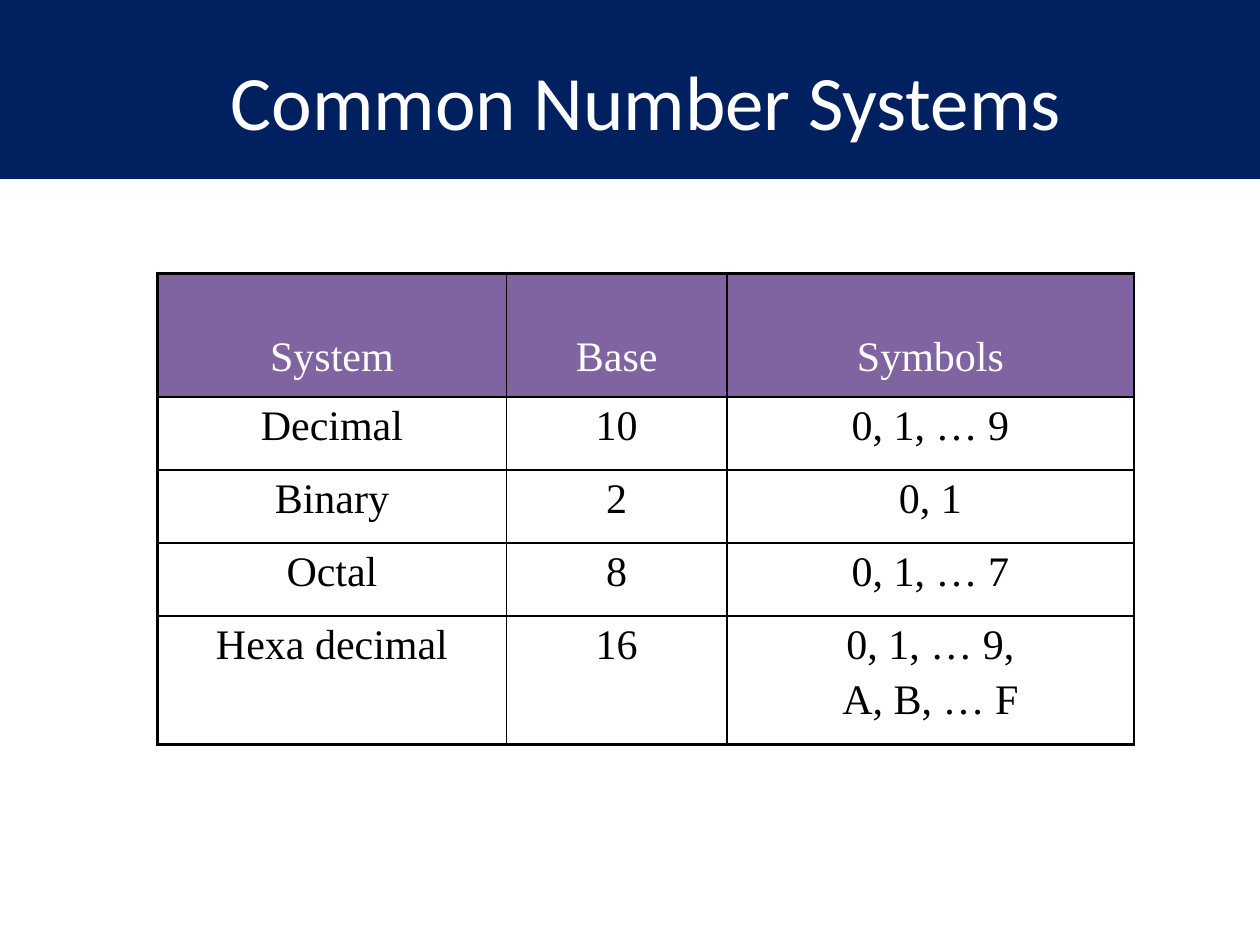
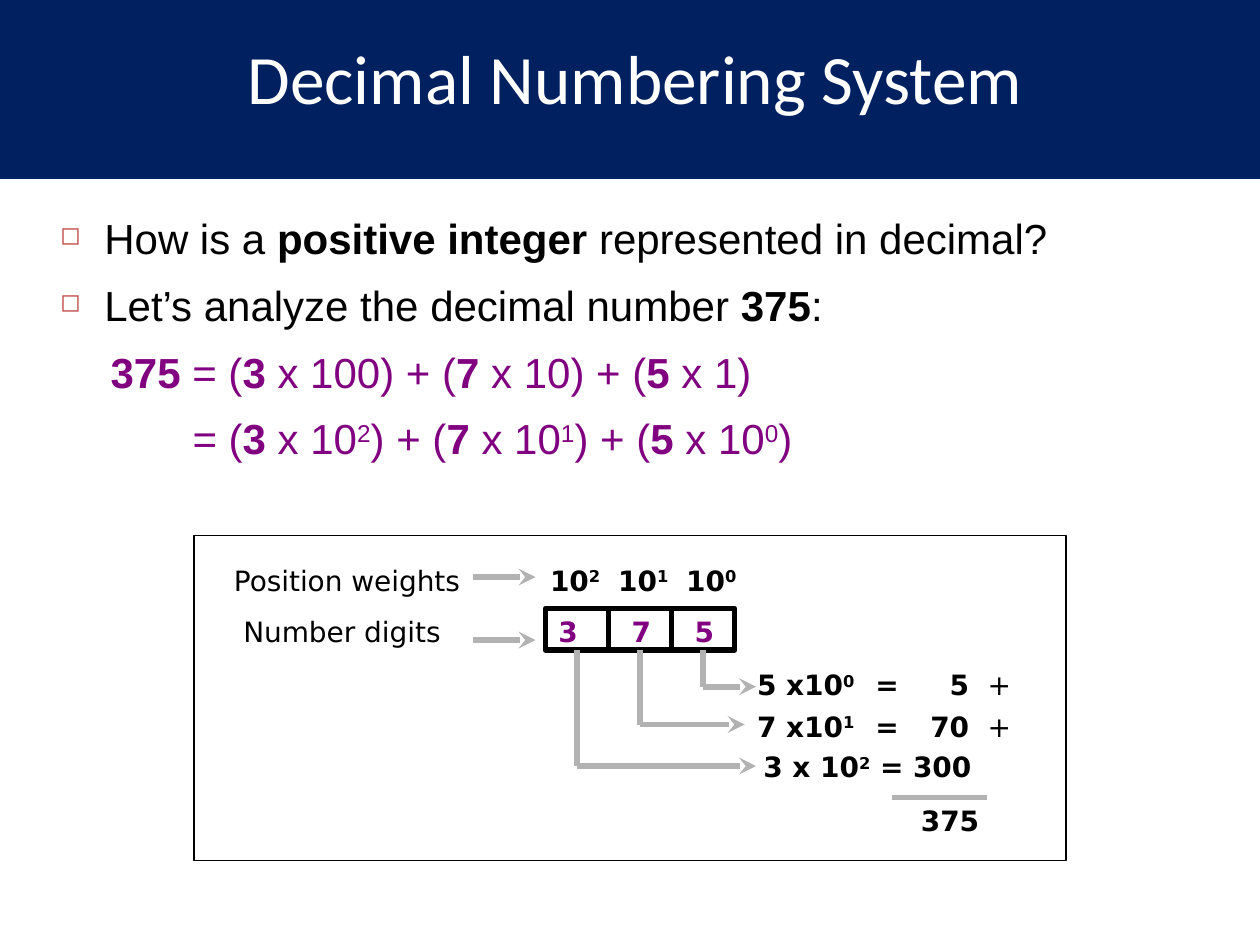
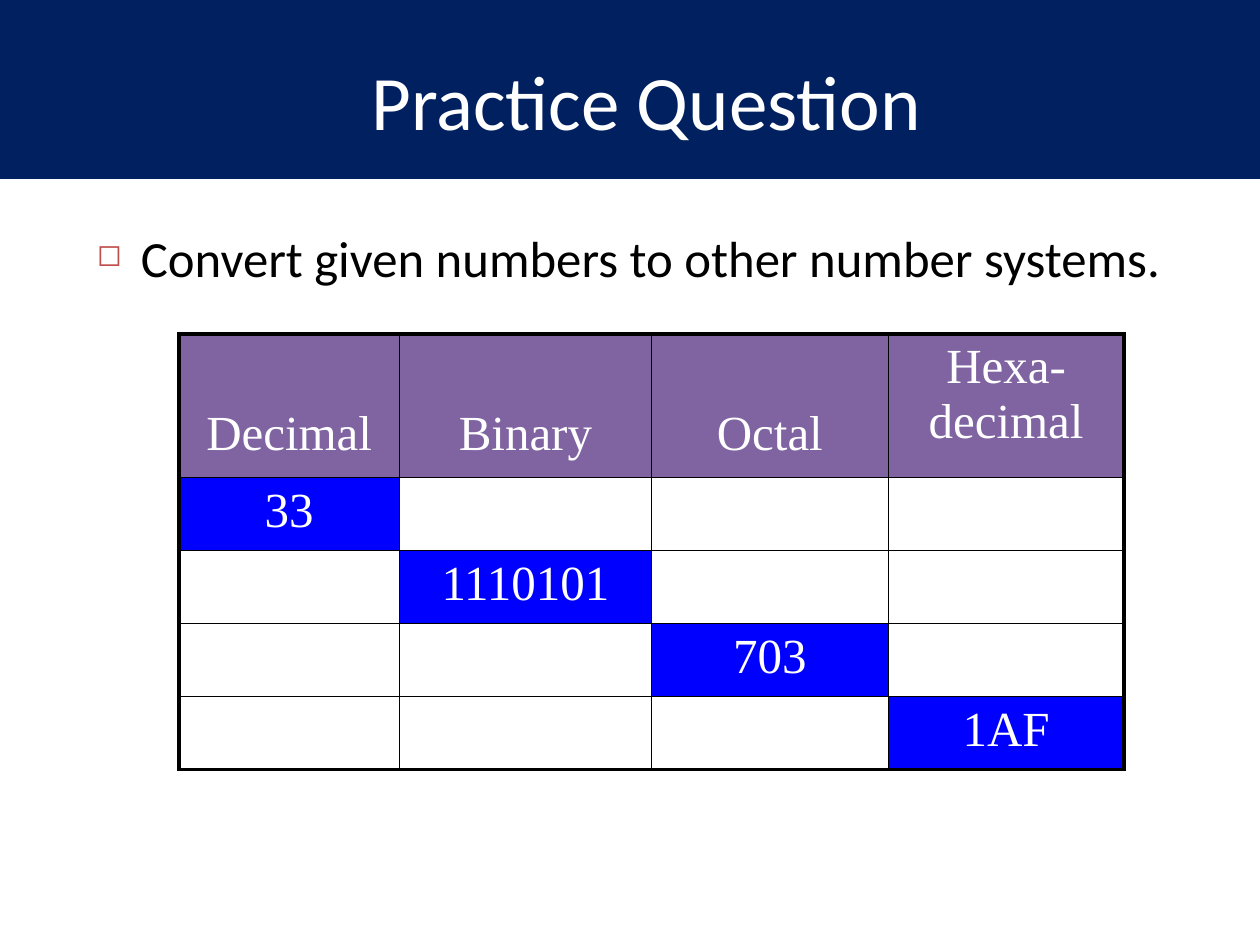
from lxml.etree import SubElement
from pptx import Presentation
from pptx.dml.color import RGBColor
from pptx.enum.shapes import MSO_CONNECTOR, MSO_SHAPE
from pptx.enum.text import MSO_ANCHOR, PP_ALIGN
from pptx.oxml import parse_xml
from pptx.oxml.ns import nsdecls, qn
from pptx.util import Inches, Pt

COLORS = {
    "band": "002060", "white": "FFFFFF", "black": "000000", "header": "8064A2",
    "given": "0000FF", "bullet": "C0504D", "digit": "800080", "arrow": "B2B2B2",
}
ALIGN = {"l": PP_ALIGN.LEFT, "c": PP_ALIGN.CENTER, "r": PP_ALIGN.RIGHT}
THIN, THICK = 1, 2.25
DIAGRAM_LINE = 3.25


def rgb(name):
    return RGBColor.from_string(COLORS[name])


def add_bullet(p):
    pPr = p._p.get_or_add_pPr()
    SubElement(SubElement(pPr, qn("a:buClr")), qn("a:srgbClr"), val=COLORS["bullet"])
    SubElement(pPr, qn("a:buSzPct"), val="60000")
    SubElement(pPr, qn("a:buChar"), char="◻")


def write(tf, text, size=16, font="DejaVu Sans", color="black", bold=False, align="l",
          space=0, bullet=False, left=0, first=0, append=False):
    """Write one paragraph per line; *x* is bold and ^x^ is superscript."""
    for n, line in enumerate(text.split("\n")):
        p = tf.add_paragraph() if append or n else tf.paragraphs[0]
        pPr = p._p.get_or_add_pPr()
        pPr.set("marL", str(Inches(left)))
        pPr.set("indent", str(Inches(first)))
        if bullet:
            add_bullet(p)
        p.alignment = ALIGN[align]
        p.space_before = Pt(space if append or n else 0)
        for i, chunk in enumerate(line.split("*")):
            for j, piece in enumerate(chunk.split("^")):
                if not piece:
                    continue
                r = p.add_run()
                r.text = piece
                r.font.size, r.font.name = Pt(size), font
                r.font.bold = bold or i % 2 == 1
                r.font.color.rgb = rgb(color)
                if j % 2:
                    r._r.get_or_add_rPr().set("baseline", "30000")


def add_text(s, box, text, wrap=True, anchor=MSO_ANCHOR.TOP, **fmt):
    tf = s.shapes.add_textbox(*map(Inches, box)).text_frame
    tf.word_wrap = wrap
    tf.vertical_anchor = anchor
    write(tf, text, **fmt)
    return tf


def add_rect(s, box, fill=None, line=None, width=DIAGRAM_LINE):
    sp = s.shapes.add_shape(MSO_SHAPE.RECTANGLE, *map(Inches, box))
    sp.shadow.inherit = False
    if fill:
        sp.fill.solid()
        sp.fill.fore_color.rgb = rgb(fill)
    else:
        sp.fill.background()
    if line:
        sp.line.color.rgb = rgb(line)
        sp.line.width = Pt(width)
    else:
        sp.line.fill.background()
    return sp


def add_line(s, x1, y1, x2, y2, arrow=False):
    line = s.shapes.add_connector(MSO_CONNECTOR.STRAIGHT, *map(Inches, (x1, y1, x2, y2)))
    line.line.color.rgb = rgb("arrow")
    line.line.width = Pt(DIAGRAM_LINE)
    if arrow:
        SubElement(line.line._get_or_add_ln(), qn("a:tailEnd"), type="stealth")
    SubElement(line._element.spPr, qn("a:effectLst"))
    return line


def set_borders(cell, widths):
    """Draw black borders; widths run left, right, top, bottom."""
    tcPr = cell._tc.get_or_add_tcPr()
    for i, (side, width) in enumerate(zip("LRTB", widths)):
        tcPr.insert(i, parse_xml(
            f'<a:ln{side} {nsdecls("a")} w="{Pt(width)}"><a:solidFill>'
            f'<a:srgbClr val="{COLORS["black"]}"/></a:solidFill></a:ln{side}>'))


def add_grid(s, left, top, widths, heights, rows, size, body_fill=None,
             body_color="black", right_edge=THICK, space=0):
    """Table with a purple header row; body_fill colours the cells that hold text."""
    frame = s.shapes.add_table(len(heights), len(widths), Inches(left), Inches(top),
                               Inches(sum(widths)), Inches(sum(heights)))
    table = frame.table
    table.first_row = table.horz_banding = False
    for column, width in zip(table.columns, widths):
        column.width = Inches(width)
    for row, height in zip(table.rows, heights):
        row.height = Inches(height)
    last_row, last_col = len(heights) - 1, len(widths) - 1
    for i, texts in enumerate(rows):
        for j, text in enumerate(texts):
            cell = table.cell(i, j)
            fill = "header" if i == 0 else body_fill if text else None
            if fill:
                cell.fill.solid()
                cell.fill.fore_color.rgb = rgb(fill)
            else:
                cell.fill.background()
            if i == 0 and "\n" not in text:
                cell.vertical_anchor = MSO_ANCHOR.BOTTOM
                cell.margin_bottom = Inches(0.13)
            set_borders(cell, (THICK if j == 0 else THIN,
                               right_edge if j == last_col else THIN,
                               THICK if i == 0 else THIN,
                               THICK if i == last_row else THIN))
            write(cell.text_frame, text, size=size, font="Times New Roman", align="c",
                  color="white" if i == 0 else body_color, space=space)


def new_slide(prs, title, box=(0.67, 0.25, 8.92, 1.08), size=44):
    s = prs.slides.add_slide(prs.slide_layouts[6])
    add_rect(s, (0, 0, 10, 1.42), fill="band")
    add_text(s, box, title, anchor=MSO_ANCHOR.MIDDLE, size=size, font="Calibri",
             color="white", align="c")
    return s


def positional_diagram(s, left, top, width, height):
    """Digits of 375 with their weights and the sum they make."""
    def label(x, y, w, text, **fmt):
        add_text(s, (left + x, top + y, w, 0.37), text, **fmt)

    def line(x1, y1, x2, y2, **fmt):
        return add_line(s, left + x1, top + y1, left + x2, top + y2, **fmt)

    centered = dict(wrap=False, align="c")
    cell_w, cell_h, cells_x, cells_y = 0.5, 0.33, 2.79, 0.58
    cells = [add_rect(s, (left + cells_x + i * cell_w, top + cells_y, cell_w, cell_h),
                      line="black") for i in range(3)]
    for i, (digit, x) in enumerate(zip("375", (2.79, 3.37, 3.87))):
        label(x, cells_y, 0.36, digit, bold=True, color="digit", **centered)
        label(2.71 + i * 0.54, 0.17, 0.63, f"10^{2 - i}^", bold=True, **centered)
    label(0.21, 0.17, 2.01, "Position weights", **centered)
    label(0.29, cells_y, 1.77, "Number digits", **centered)
    for y in (0.33, 0.83):
        line(2.21, y, 2.71, y, arrow=True)

    for i, (y, end) in enumerate([(1.83, 4.46), (1.5, 4.37), (1.2, 4.46)]):
        x = cells_x + (i + 0.5) * cell_w
        line(x, cells_y + cell_h, x, y).begin_connect(cells[i], 2)
        line(x, y, end, y, arrow=True)

    for y, term, value in [(1, "5 x10^0^", "5"), (1.33, "7 x10^1^", "70")]:
        label(4.37, y, 1.05, term, bold=True)
        label(5.3, y, 0.4, "=", bold=True, **centered)
        label(5.55, y, 0.7, value, bold=True, align="r")
        label(6.2, y, 0.38, "+", **centered)
    label(4.42, 1.65, 1.93, "3 x 10^2^ = 300", bold=True)
    line(5.54, 2.08, 6.29, 2.08)
    label(5.66, 2.08, 0.68, "375", bold=True, **centered)
    add_rect(s, (left, top, width, height), line="black", width=0.75)


def number_systems(prs):
    s = new_slide(prs, "Common Number Systems")
    add_grid(s, 1.25, 2.17, [2.77, 1.75, 3.23], [0.98, 0.58, 0.58, 0.58, 1.02], [
        ("System", "Base", "Symbols"),
        ("Decimal", "10", "0, 1, … 9"),
        ("Binary", "2", "0, 1"),
        ("Octal", "8", "0, 1, … 7"),
        ("Hexa decimal", "16", "0, 1, … 9,\nA, B, … F"),
    ], size=24, right_edge=THIN, space=5)


def decimal_system(prs):
    s = new_slide(prs, "Decimal Numbering System", (1.08, 0.3, 7.92, 0.62), 39.6)
    body = dict(size=24, font="Arial", space=9.3)
    tf = add_text(s, (0.38, 1.64, 8.67, 2.5),
                  "How is a *positive integer* represented in decimal?\n"
                  "Let’s analyze the decimal number *375*:",
                  bullet=True, left=0.35, first=-0.35, **body)
    equations = [(0.4, "*375* = (*3* x 100) + (*7* x 10) + (*5* x 1)"),
                 (1.05, "= (*3* x 10^2^) + (*7* x 10^1^) + (*5* x 10^0^)")]
    for indent, equation in equations:
        write(tf, equation, color="digit", first=indent, append=True, **body)
    positional_diagram(s, 1.54, 4.25, 6.92, 2.58)


def practice_question(prs):
    s = new_slide(prs, "Practice Question")
    add_text(s, (0.67, 1.75, 8.92, 4.92), "Convert given numbers to other number systems.",
             size=29, font="Calibri", bullet=True, left=0.35, first=-0.35)
    given = ("33", "1110101", "703", "1AF")
    diagonal = [[text if i == j else "" for j in range(4)] for i, text in enumerate(given)]
    add_grid(s, 1.42, 2.65, [1.75, 2, 1.88, 1.87], [1.14] + [0.58] * 4,
             [("Decimal", "Binary", "Octal", "Hexa-\ndecimal")] + diagonal,
             size=28, body_fill="given", body_color="white")


def main():
    prs = Presentation()
    prs.slide_width, prs.slide_height = Inches(10), Inches(7.5)
    number_systems(prs)
    decimal_system(prs)
    practice_question(prs)
    prs.save("out.pptx")


if __name__ == "__main__":
    main()
